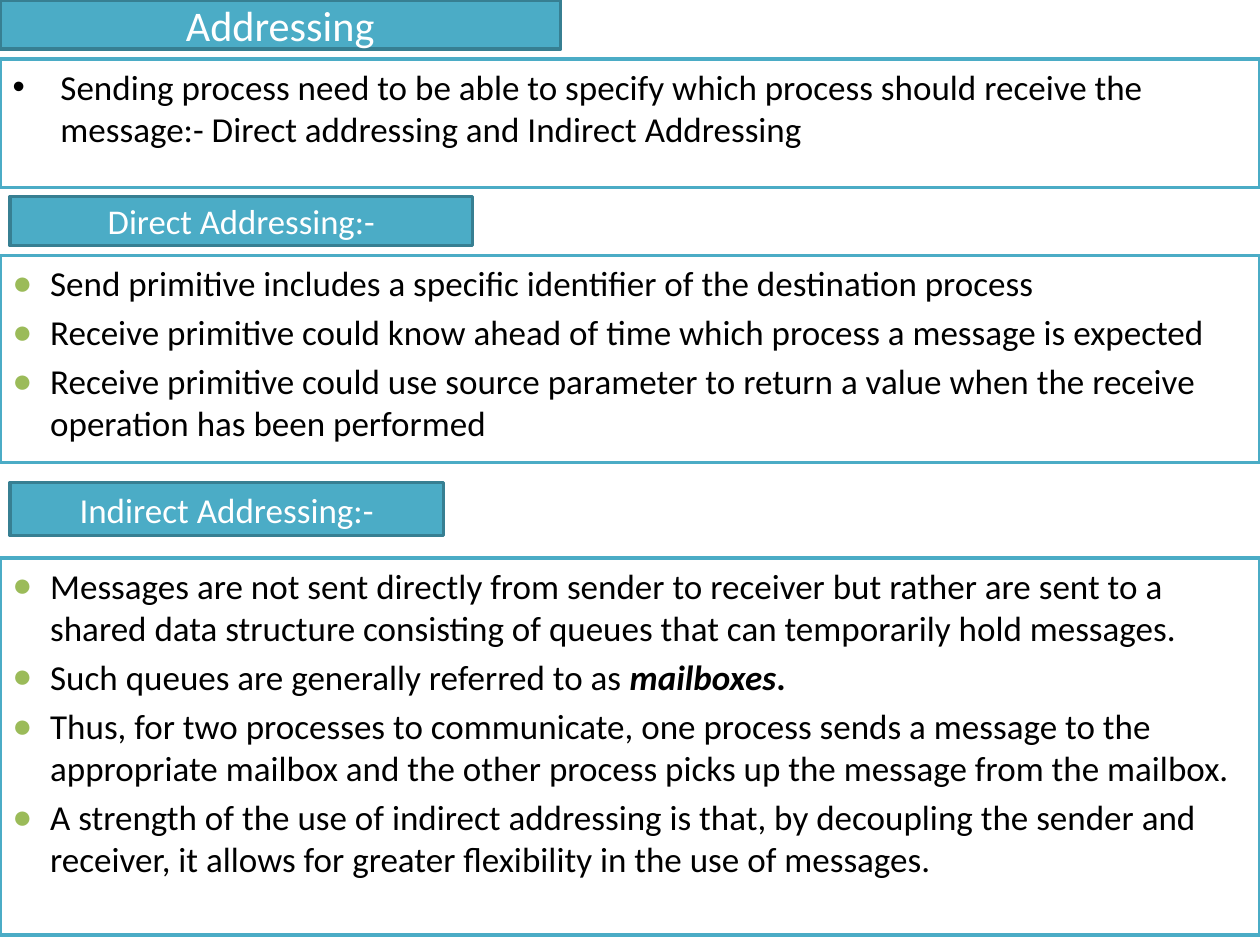
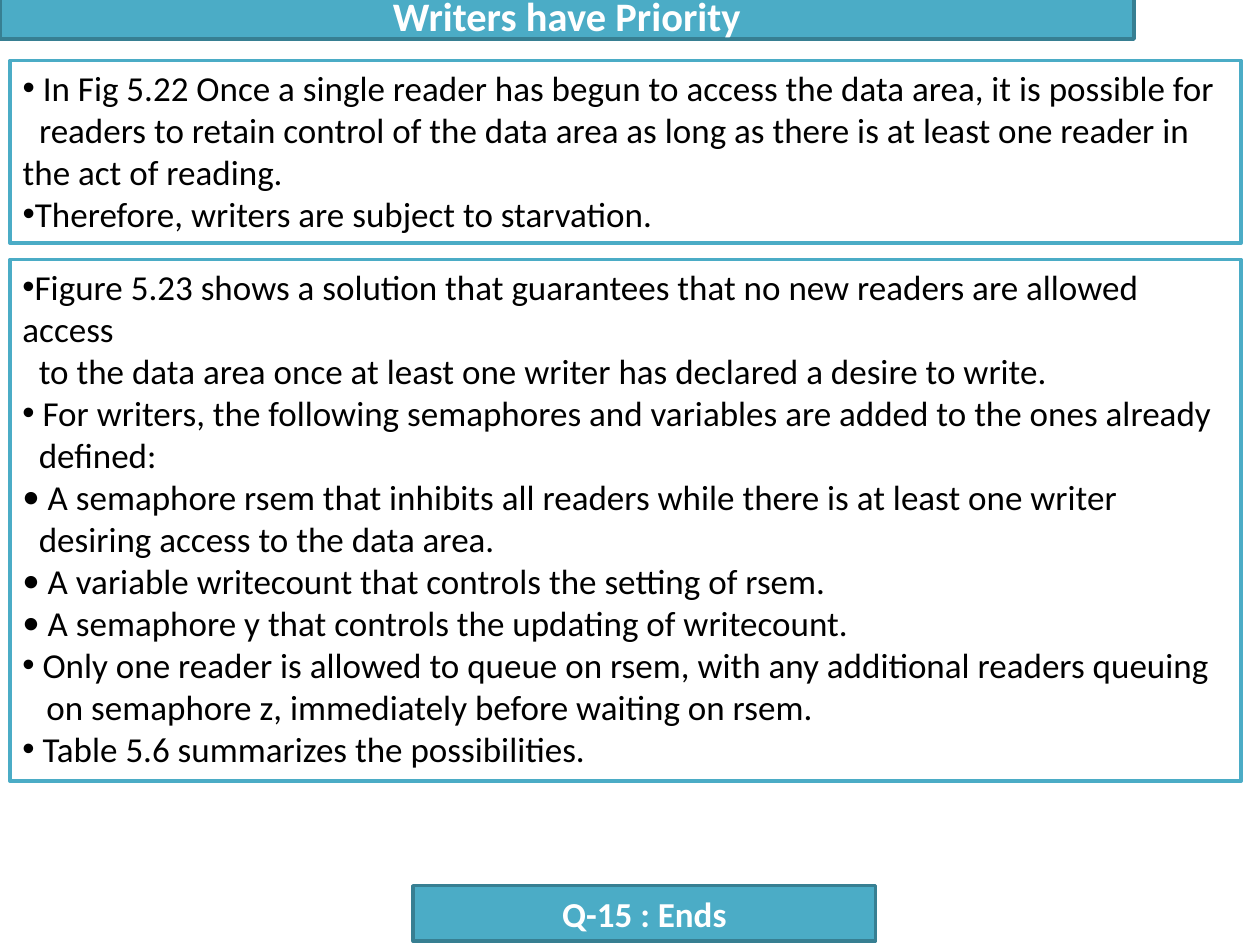
from lxml import etree
from pptx import Presentation
from pptx.dml.color import RGBColor
from pptx.enum.shapes import MSO_SHAPE as Shape
from pptx.enum.text import MSO_ANCHOR as Anchor, MSO_AUTO_SIZE as AutoSize, PP_ALIGN as Align
from pptx.oxml.ns import qn
from pptx.util import Inches, Pt

TEAL = RGBColor(0x4B, 0xAC, 0xC6)
DARK_TEAL = RGBColor(0x37, 0x7F, 0x92)
GREEN = RGBColor(0x9B, 0xBB, 0x59)
WHITE = RGBColor(0xFF, 0xFF, 0xFF)
BLACK = RGBColor(0x00, 0x00, 0x00)
FONT = "Calibri"

BANNER_FRAME = {"margin_left": 0, "margin_right": 0, "margin_top": Inches(0.05),
                "margin_bottom": 0, "vertical_anchor": Anchor.BOTTOM}
LABEL_FRAME = {"margin_left": Inches(0.1), "margin_right": Inches(0.1),
               "margin_top": Inches(0.05), "margin_bottom": Inches(0.05),
               "vertical_anchor": Anchor.MIDDLE}
PANEL_FRAME = LABEL_FRAME | {"vertical_anchor": Anchor.TOP}

STYLES = {
    "banner": {"fill": TEAL, "line": DARK_TEAL, "text": WHITE, "frame": BANNER_FRAME,
               "paragraph": {"alignment": Align.CENTER, "line_spacing": 0.8}},
    "label": {"fill": TEAL, "line": DARK_TEAL, "text": WHITE, "frame": LABEL_FRAME,
              "paragraph": {"alignment": Align.CENTER}},
    "panel": {"fill": WHITE, "line": TEAL, "text": BLACK, "frame": PANEL_FRAME,
              "paragraph": {"alignment": Align.LEFT, "space_before": Pt(0)}},
}
STYLES["list"] = STYLES["panel"] | {
    "paragraph": {"alignment": Align.LEFT, "space_before": Pt(4)}}

BULLETS = {
    "plain": {"margin": 0, "indent": 0},
    "continued": {"margin": 0, "indent": 0.13},
    "continued deeper": {"margin": 0, "indent": 0.19},
    "hanging": {"margin": 0.38, "indent": -0.38, "char": "•", "font": "Arial"},
    "green": {"margin": 0.3, "indent": -0.3, "char": "●", "font": "Arial",
              "color": GREEN, "size": 95},
    "inline": {"margin": 0, "indent": 0, "char": "•", "font": "Arial"},
    "variable": {"margin": 0, "indent": 0, "char": "•", "font": FONT},
}

EMPHASIS = {"mailboxes": {"bold": True, "italic": True}, ".": {"bold": True}}

SLIDES = [
    [
        {"style": "banner", "role": "title", "at": (0, 0, 4.45, 0.39), "size": 24.1,
         "text": [("plain", "Addressing")]},
        {"style": "list", "role": "body", "at": (0, 0.47, 10, 1.02),
         "text": [("hanging", "Sending process need to be able to specify which process "
                              "should receive the message:- Direct addressing and "
                              "Indirect Addressing")]},
        {"style": "label", "at": (0.08, 1.56, 3.67, 0.39), "size": 19.8,
         "text": [("plain", "Direct Addressing:-")]},
        {"style": "list", "at": (0, 2.03, 10, 1.64), "text": [
            ("green", "Send primitive includes a specific identifier of the destination process"),
            ("green", "Receive primitive could know ahead of time which process a message "
                      "is expected"),
            ("green", "Receive primitive could use source parameter to return a value when "
                      "the receive operation has been performed")]},
        {"style": "label", "at": (0.08, 3.83, 3.44, 0.42),
         "text": [("plain", "Indirect Addressing:-")]},
        {"style": "list", "at": (0, 4.43, 10, 2.99), "text": [
            ("green", "Messages are not sent directly from sender to receiver but rather are "
                      "sent to a shared data structure consisting of queues that can "
                      "temporarily hold messages."),
            ("green", "Such queues are generally referred to as ", "mailboxes", "."),
            ("green", "Thus, for two processes to communicate, one process sends a message to "
                      "the appropriate mailbox and the other process picks up the message "
                      "from the mailbox."),
            ("green", "A strength of the use of indirect addressing is that, by decoupling the "
                      "sender and receiver, it allows for greater flexibility in the use of "
                      "messages.")]},
    ],
    [
        {"style": "banner", "role": "title", "at": (0, -0.08, 9, 0.39), "size": 23.1,
         "bold": True, "text": [("plain", "Writers have Priority")]},
        {"style": "panel", "role": "body", "at": (0.08, 0.48, 9.77, 1.45), "text": [
            ("inline", " In Fig 5.22 Once a single reader has begun to access the data area, "
                       "it is possible for"),
            ("continued", "readers to retain control of the data area as long as there is at "
                          "least one reader in the act of reading."),
            ("inline", "Therefore, writers are subject to starvation.")]},
        {"style": "panel", "at": (0.08, 2.06, 9.77, 4.14), "text": [
            ("inline", "Figure 5.23 shows a solution that guarantees that no new readers are "
                       "allowed access"),
            ("continued", "to the data area once at least one writer has declared a desire "
                          "to write."),
            ("inline", " For writers, the following semaphores and variables are added to the "
                       "ones already"),
            ("continued", "defined:"),
            ("variable", " A semaphore rsem that inhibits all readers while there is at least "
                         "one writer"),
            ("continued", "desiring access to the data area."),
            ("variable", " A variable writecount that controls the setting of rsem."),
            ("variable", " A semaphore y that controls the updating of writecount."),
            ("inline", " Only one reader is allowed to queue on rsem, with any additional "
                       "readers queuing"),
            ("continued deeper", "on semaphore z, immediately before waiting on rsem."),
            ("inline", " Table 5.6 summarizes the possibilities.")]},
        {"style": "label", "at": (3.28, 7.03, 3.67, 0.44), "bold": True,
         "text": [("plain", "Q-15 : Ends")]},
    ],
]


def set_all(target, values):
    for name, value in values.items():
        setattr(target, name, value)


def set_bullet(paragraph, bullet):
    properties = paragraph._p.get_or_add_pPr()
    properties.set("marL", str(Inches(bullet["margin"])))
    properties.set("indent", str(Inches(bullet["indent"])))
    if "char" not in bullet:
        etree.SubElement(properties, qn("a:buNone"))
        return
    if "color" in bullet:
        color = etree.SubElement(properties, qn("a:buClr"))
        etree.SubElement(color, qn("a:srgbClr"), val=str(bullet["color"]))
    if "size" in bullet:
        etree.SubElement(properties, qn("a:buSzPct"), val=str(bullet["size"] * 1000))
    etree.SubElement(properties, qn("a:buFont"), typeface=bullet["font"])
    etree.SubElement(properties, qn("a:buChar"), char=bullet["char"])


def write_text(shape, box, style):
    frame = shape.text_frame
    set_all(frame, {"word_wrap": True, "auto_size": AutoSize.NONE} | style["frame"])
    for index, (bullet, *pieces) in enumerate(box["text"]):
        paragraph = frame.add_paragraph() if index else frame.paragraphs[0]
        set_all(paragraph, style["paragraph"])
        set_bullet(paragraph, BULLETS[bullet])
        for piece in pieces:
            run = paragraph.add_run()
            run.text = piece
            font = {"name": FONT, "size": Pt(box.get("size", 20)),
                    "bold": box.get("bold", False), "italic": False}
            set_all(run.font, font | EMPHASIS.get(piece, {}))
            run.font.color.rgb = style["text"]


def add_box(slide, box):
    style = STYLES[box["style"]]
    place = [Inches(length) for length in box["at"]]
    placeholders = {"title": 0, "body": 1}
    if "role" in box:
        shape = slide.placeholders[placeholders[box["role"]]]
        set_all(shape, dict(zip(("left", "top", "width", "height"), place)))
    else:
        shape = slide.shapes.add_shape(Shape.RECTANGLE, *place)
        shape.shadow.inherit = False
    shape.fill.solid()
    shape.fill.fore_color.rgb = style["fill"]
    shape.line.color.rgb = style["line"]
    shape.line.width = Pt(2)
    write_text(shape, box, style)


def main():
    presentation = Presentation()
    set_all(presentation, {"slide_width": Inches(10), "slide_height": Inches(7.5)})
    for boxes in SLIDES:
        slide = presentation.slides.add_slide(presentation.slide_layouts[1])
        for box in boxes:
            add_box(slide, box)
    presentation.save("out.pptx")


if __name__ == "__main__":
    main()
